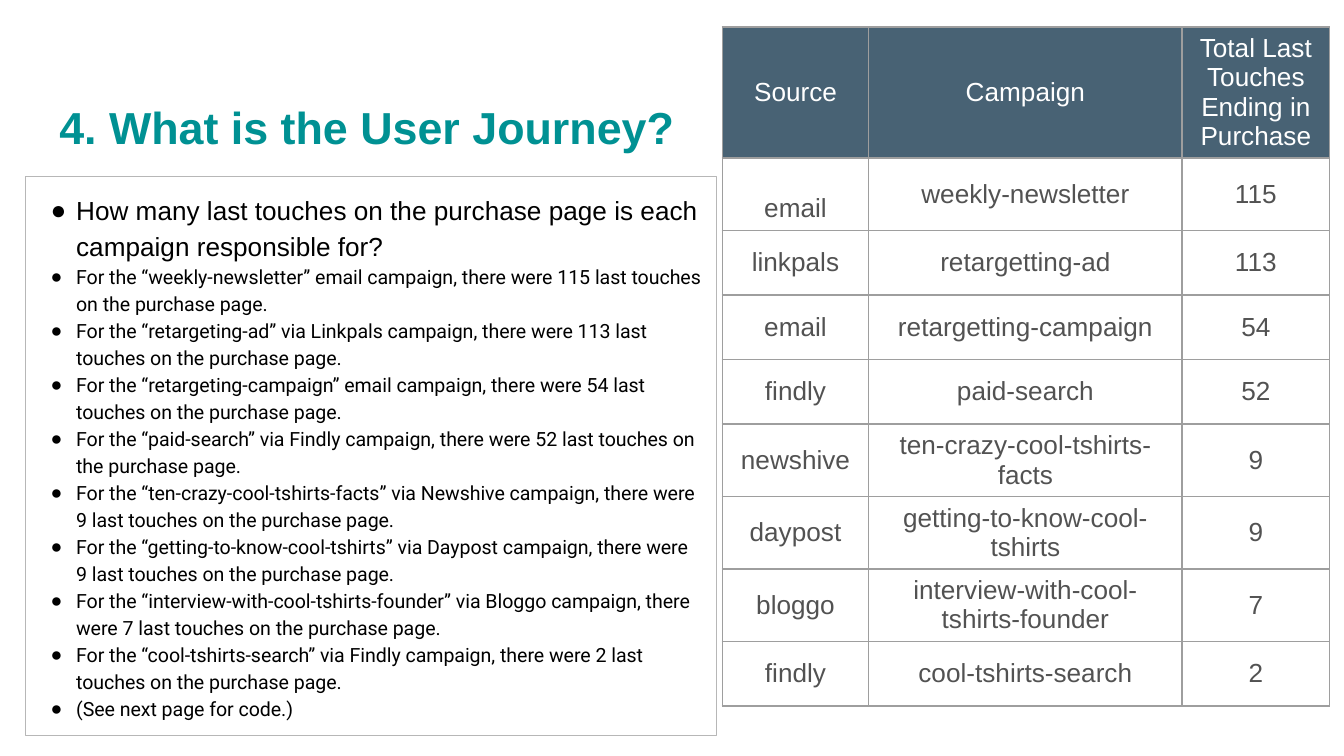
from pptx import Presentation
from pptx.dml.color import RGBColor as Rgb
from pptx.enum.shapes import MSO_SHAPE as Shape
from pptx.enum.text import MSO_ANCHOR as Anchor, MSO_AUTO_SIZE as AutoSize, PP_ALIGN as Align
from pptx.oxml.ns import qn
from pptx.util import Cm, Pt
from lxml.etree import SubElement

COLORS = {
    "title": "009193",
    "text": "000000",
    "box_line": "B7B7B7",
    "header": "204056",
    "header_text": "FFFFFF",
    "cell_text": "525252",
    "border": "9E9E9E",
}

HEADERS = ["Source", "Campaign", "Total Last Touches Ending in Purchase"]
# Source, campaign, last touches, row height in cm
CAMPAIGNS = [
    ("email", "weekly-newsletter", 115, 1.37),
    ("linkpals", "retargetting-ad", 113, 1.22),
    ("email", "retargetting-campaign", 54, 1.22),
    ("findly", "paid-search", 52, 1.22),
    ("newshive", "ten-crazy-cool-tshirts-facts", 9, 1.37),
    ("daypost", "getting-to-know-cool-tshirts", 9, 1.37),
    ("bloggo", "interview-with-cool-tshirts-founder", 7, 1.37),
    ("findly", "cool-tshirts-search", 2, 1.22),
]
HEADER_HEIGHT = 2.47
COLUMN_WIDTHS = [2.77, 5.92, 2.79]


def finding(source, campaign, touches):
    name = campaign.replace("retargetting", "retargeting")
    channel = source if source == "email" else f"via {source.capitalize()}"
    return (f"For the “{name}” {channel} campaign, there were {touches} "
            "last touches on the purchase page.")


class SlideBuilder:
    font = "Arial"
    body_font = "Roboto"

    def __init__(self, slide):
        self.slide = slide

    def style(self, paragraph, size, color, font=None, bold=False):
        for run in paragraph.runs:
            run.font.name = font or self.font
            run.font.size = Pt(size)
            run.font.bold = bold
            run.font.color.rgb = Rgb.from_string(COLORS[color])

    def title(self, text, left, top, width, height):
        shape = self.slide.shapes.title
        shape.left, shape.top = Cm(left), Cm(top)
        shape.width, shape.height = Cm(width), Cm(height)
        frame = shape.text_frame
        frame.text = text
        frame.word_wrap = True
        frame.auto_size = AutoSize.NONE
        frame.vertical_anchor = Anchor.BOTTOM
        frame.margin_left = frame.margin_right = Cm(0.25)
        frame.margin_top = frame.margin_bottom = Cm(0.25)
        frame.paragraphs[0].alignment = Align.LEFT
        self.style(frame.paragraphs[0], 24, "title", bold=True)

    def bullet(self, paragraph):
        properties = paragraph._p.get_or_add_pPr()
        properties.set("marL", str(Cm(0.48)))
        properties.set("indent", str(-Cm(0.53)))
        color = SubElement(properties, qn("a:buClr"))
        SubElement(color, qn("a:srgbClr"), val=COLORS["text"])
        SubElement(properties, qn("a:buFont"), typeface=self.font)
        SubElement(properties, qn("a:buChar"), char="●")

    def bullet_box(self, question, answers, left, top, width, height):
        shape = self.slide.shapes.add_shape(
            Shape.RECTANGLE, Cm(left), Cm(top), Cm(width), Cm(height))
        shape.shadow.inherit = False
        shape.fill.background()
        shape.line.color.rgb = Rgb.from_string(COLORS["box_line"])
        shape.line.width = Pt(0.75)
        frame = shape.text_frame
        frame.text = "\n".join([question, *answers])
        frame.word_wrap = True
        frame.vertical_anchor = Anchor.TOP
        frame.margin_left = Cm(0.48)
        frame.margin_top = frame.margin_right = frame.margin_bottom = Cm(0.25)
        for index, paragraph in enumerate(frame.paragraphs):
            self.bullet(paragraph)
            paragraph.alignment = Align.LEFT
            paragraph.line_spacing = 1.15
            if index == 0:
                self.style(paragraph, 14, "text")
            else:
                self.style(paragraph, 10.5, "text", self.body_font)

    def borders(self, cell):
        properties = cell._tc.get_or_add_tcPr()
        for side in ("lnL", "lnR", "lnT", "lnB"):
            line = SubElement(properties, qn(f"a:{side}"), w=str(Pt(0.75)))
            fill = SubElement(line, qn("a:solidFill"))
            SubElement(fill, qn("a:srgbClr"), val=COLORS["border"])

    def cell(self, cell, text, is_header):
        cell.text = text
        cell.vertical_anchor = Anchor.MIDDLE
        cell.text_frame.paragraphs[0].alignment = Align.CENTER
        self.style(cell.text_frame.paragraphs[0], 14,
                   "header_text" if is_header else "cell_text")
        self.borders(cell)
        if is_header:
            cell.fill.solid()
            cell.fill.fore_color.rgb = Rgb.from_string(COLORS["header"])
            color = cell._tc.tcPr.find(f"{qn('a:solidFill')}/{qn('a:srgbClr')}")
            SubElement(color, qn("a:alpha"), val="82000")
        else:
            cell.fill.background()

    def table(self, rows, widths, heights, left, top):
        table = self.slide.shapes.add_table(
            len(rows), len(widths), Cm(left), Cm(top),
            Cm(sum(widths)), Cm(sum(heights))).table
        table.first_row = table.horz_banding = False
        for column, width in zip(table.columns, widths):
            column.width = Cm(width)
        for row, height in zip(table.rows, heights):
            row.height = Cm(height)
        for row_index, row in enumerate(rows):
            for column_index, text in enumerate(row):
                self.cell(table.cell(row_index, column_index), str(text), row_index == 0)
        return table


def main():
    presentation = Presentation()
    presentation.slide_width, presentation.slide_height = Cm(25.4), Cm(14.29)
    slide = presentation.slides.add_slide(presentation.slide_layouts[5])
    builder = SlideBuilder(slide)

    # Title
    builder.title("4. What is the User Journey?", 0.87, 0.81, 23.67, 2.34)

    # Question and findings
    answers = [finding(*campaign[:3]) for campaign in CAMPAIGNS]
    builder.bullet_box(
        "How many last touches on the purchase page is each campaign responsible for?",
        answers + ["(See next page for code.)"], 0.48, 3.34, 13.06, 10.57)

    # Last touches per campaign
    rows = [HEADERS] + [campaign[:3] for campaign in CAMPAIGNS]
    heights = [HEADER_HEIGHT] + [campaign[3] for campaign in CAMPAIGNS]
    table = builder.table(rows, COLUMN_WIDTHS, heights, 13.65, 0.51)
    # The first source sits one text line lower
    table.cell(1, 0).margin_top = Cm(0.67)

    presentation.save("out.pptx")


if __name__ == "__main__":
    main()
